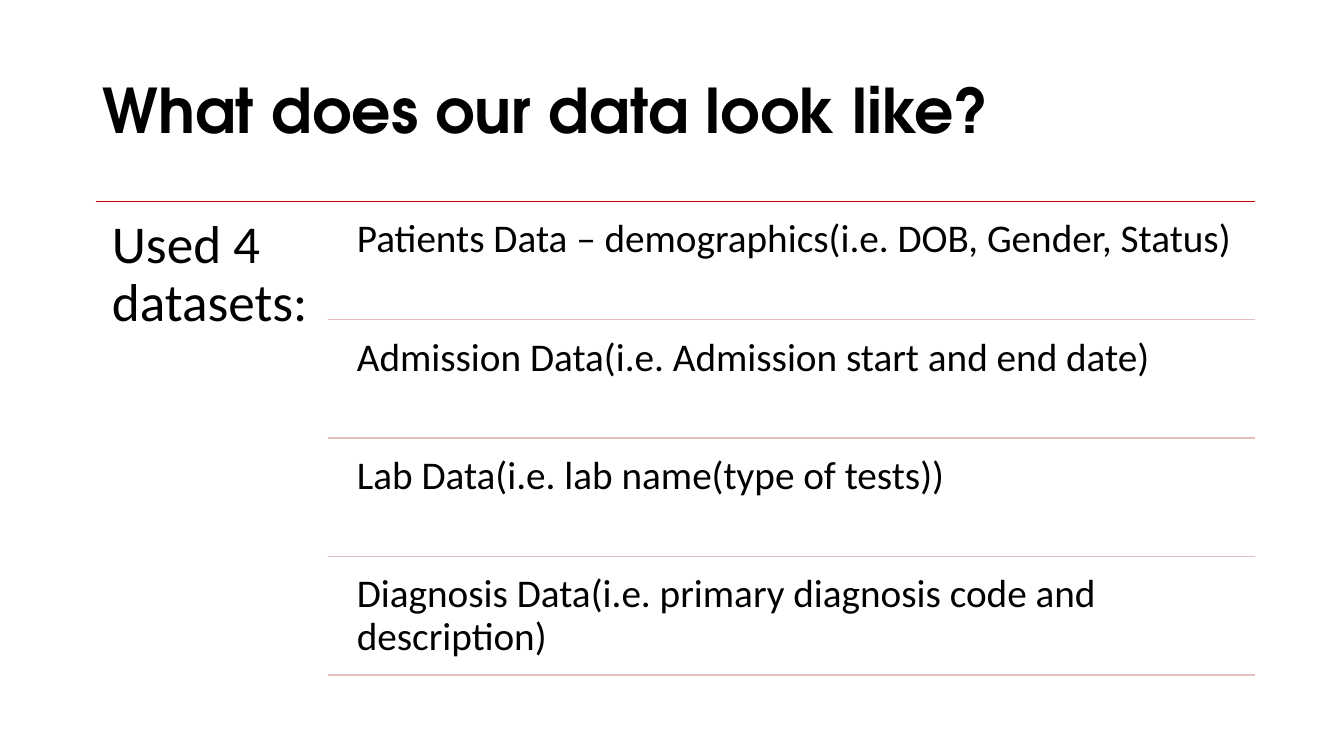
from lxml import etree
from pptx import Presentation
from pptx.dml.color import RGBColor
from pptx.enum.shapes import MSO_CONNECTOR as Connector
from pptx.enum.text import MSO_ANCHOR as Anchor, MSO_AUTO_SIZE as AutoSize, PP_ALIGN as Align
from pptx.oxml.ns import qn
from pptx.util import Inches, Pt

BLACK = RGBColor(0x00, 0x00, 0x00)
RED = RGBColor(0xC8, 0x00, 0x00)
PINK = RGBColor(0xE6, 0xBD, 0xBD)

RIGHT_EDGE = 12.45
LIST_TOP = 2
ROW_GAP = 0.05
ROW_HEIGHT = 1.12
DATASETS = [
    "Patients Data – demographics(i.e. DOB, Gender, Status)",
    "Admission Data(i.e. Admission start and end date)",
    "Lab Data(i.e. lab name(type of tests))",
    "Diagnosis Data(i.e. primary diagnosis code and description)",
]
ROW_PITCH = 4.7 / len(DATASETS)


def write_text(shape, text, anchor, margin, font_values):
    frame = shape.text_frame
    frame.text = text
    frame_values = {"word_wrap": True, "auto_size": AutoSize.NONE, "vertical_anchor": anchor}
    for side in ("left", "top", "right", "bottom"):
        frame_values["margin_" + side] = Inches(margin)
    for name, value in frame_values.items():
        setattr(frame, name, value)
    paragraph = frame.paragraphs[0]
    paragraph.alignment = Align.LEFT
    paragraph.line_spacing = 0.9
    font = paragraph.runs[0].font
    font.color.rgb = BLACK
    for name, value in font_values.items():
        setattr(font, name, value)


def add_rule(left, top, color):
    rule = slide.shapes.add_connector(
        Connector.STRAIGHT, Inches(left), Inches(top), Inches(RIGHT_EDGE), Inches(top))
    rule.line.color.rgb = color
    rule.line.width = Pt(1)
    etree.SubElement(rule._element.spPr, qn("a:effectLst"))


presentation = Presentation()
presentation.slide_width = Inches(13.33)
presentation.slide_height = Inches(7.5)
slide = presentation.slides.add_slide(presentation.slide_layouts[5])

# Title
title = slide.shapes.title
title.left, title.top = Inches(0.92), Inches(0.4)
title.width, title.height = Inches(11.5), Inches(1.45)
write_text(title, "What does our data look like?", Anchor.MIDDLE, 0.1,
           {"name": "TeX Gyre Adventor", "size": Pt(44), "bold": True})

# Heading of the list, under the red rule
add_rule(0.95, LIST_TOP, RED)
heading = slide.shapes.add_textbox(Inches(0.95), Inches(LIST_TOP), Inches(2.3), Inches(4.76))
write_text(heading, "Used 4 datasets:", Anchor.TOP, 0.16, {"name": "Calibri", "size": Pt(38)})

# One row per dataset, each closed by a pink rule
for index, dataset in enumerate(DATASETS):
    row_top = LIST_TOP + ROW_GAP + index * ROW_PITCH
    row = slide.shapes.add_textbox(
        Inches(3.42), Inches(row_top), Inches(RIGHT_EDGE - 3.42), Inches(ROW_HEIGHT))
    write_text(row, dataset, Anchor.TOP, 0.12, {"name": "Calibri", "size": Pt(28)})
    add_rule(3.25, row_top + ROW_HEIGHT, PINK)

presentation.save("out.pptx")
